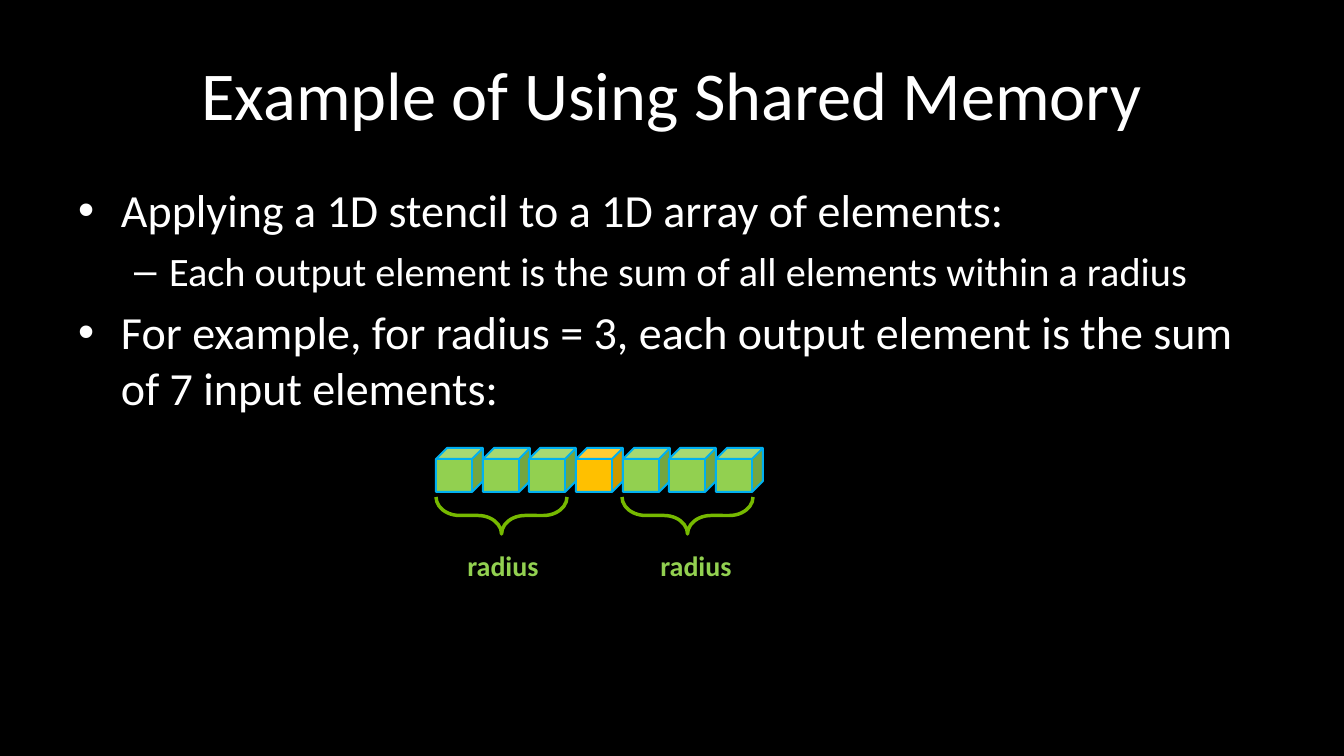
from dataclasses import dataclass
from lxml import etree
from pptx import Presentation
from pptx import util as u
from pptx.dml.color import RGBColor
from pptx.enum import shapes, text
from pptx.oxml.ns import qn

BLACK = RGBColor(0, 0, 0)
WHITE = RGBColor(255, 255, 255)
GREEN = RGBColor(0x92, 0xD0, 0x50)
GOLD = RGBColor(0xFF, 0xC0, 0x00)
BLUE = RGBColor(0x00, 0xB0, 0xF0)
LEAF = RGBColor(0x76, 0xB9, 0x00)
FONT = "Calibri"
SCALE = 914400 / 112  # EMU in one px


@dataclass
class Box:
    x: int
    y: int
    w: int
    h: int

    def emu(self) -> list:
        return [px(n) for n in (self.x, self.y, self.w, self.h)]


@dataclass
class Point:
    words: str
    level: int = 0


@dataclass
class Style:
    mark: str
    left: int
    hang: int
    size: float


@dataclass
class Reach:
    brace: int
    label: int


STYLES = [Style("•", 43, 43, 29.6), Style("–", 91, 35, 25.9)]
POINTS = [
    Point("Applying a 1D stencil to a 1D array of elements:"),
    Point("Each output element is the sum of all elements within a radius", 1),
    Point("For example, for radius = 3, each output element is the sum "
          "of 7 input elements:"),
]
RADIUS = 3
REACHES = [Reach(483, 436), Reach(669, 629)]


def px(n: int) -> int:
    return round(n * SCALE)


def set_font(para, size: float, color: RGBColor, bold: bool = False) -> None:
    font = para.font
    font.name, font.size, font.bold = FONT, u.Pt(size), bold
    font.color.rgb = color


def add_title(slide, box: Box, words: str) -> None:
    title = slide.shapes.title
    title.left, title.top, title.width, title.height = box.emu()
    frame = title.text_frame
    frame.text = words
    frame.vertical_anchor = text.MSO_ANCHOR.MIDDLE
    para = frame.paragraphs[0]
    para.alignment = text.PP_ALIGN.CENTER
    set_font(para, 44, WHITE)


def add_points(slide, box: Box, points: list) -> None:
    frame = slide.shapes.add_textbox(*box.emu()).text_frame
    frame.word_wrap = True
    for i, point in enumerate(points):
        para = frame.add_paragraph() if i else frame.paragraphs[0]
        style = STYLES[point.level]
        para.text = point.words
        para.level = point.level
        if i:
            para.space_before = u.Pt(6)
        props = para._p.get_or_add_pPr()
        props.set("marL", str(px(style.left)))
        props.set("indent", str(-px(style.hang)))
        etree.SubElement(props, qn("a:buFont")).set("typeface", "Arial")
        etree.SubElement(props, qn("a:buChar")).set("char", style.mark)
        set_font(para, style.size, WHITE)


def add_cube(slide, box: Box, color: RGBColor) -> None:
    cube = slide.shapes.add_shape(shapes.MSO_SHAPE.CUBE, *box.emu())
    cube.shadow.inherit = False
    cube.fill.solid()
    cube.fill.fore_color.rgb = color
    cube.line.color.rgb = BLUE
    cube.line.width = u.Pt(1.25)


def add_brace(slide, box: Box) -> None:
    brace = slide.shapes.add_shape(shapes.MSO_SHAPE.RIGHT_BRACE, *box.emu())
    brace.shadow.inherit = False
    brace.rotation = 90
    brace.adjustments[0] = 0.64
    brace.fill.background()
    brace.line.color.rgb = LEAF
    brace.line.width = u.Pt(2.25)


def add_label(slide, box: Box, words: str) -> None:
    frame = slide.shapes.add_textbox(*box.emu()).text_frame
    frame.word_wrap = True
    para = frame.paragraphs[0]
    para.text = words
    para.alignment = text.PP_ALIGN.CENTER
    set_font(para, 18, GREEN, True)


def main() -> None:
    deck = Presentation()
    deck.slide_width, deck.slide_height = px(1344), px(756)
    slide = deck.slides.add_slide(deck.slide_layouts[5])
    slide.background.fill.solid()
    slide.background.fill.fore_color.rgb = BLACK

    # Heading and bullets
    add_title(slide, Box(67, 30, 1210, 126), "Example of Using Shared Memory")
    add_points(slide, Box(67, 176, 1210, 269), POINTS)

    # Array elements, three to a 140 px step, with the centre in gold
    for i in range(2 * RADIUS + 1):
        color = GOLD if i == RADIUS else GREEN
        add_cube(slide, Box(436 + round(i * 140 / 3), 448, 47, 44), color)

    # Radius on either side
    for reach in REACHES:
        add_brace(slide, Box(reach.brace, 450, 37, 131))
        add_label(slide, Box(reach.label, 543, 134, 45), "radius")

    deck.save("out.pptx")


if __name__ == "__main__":
    main()
